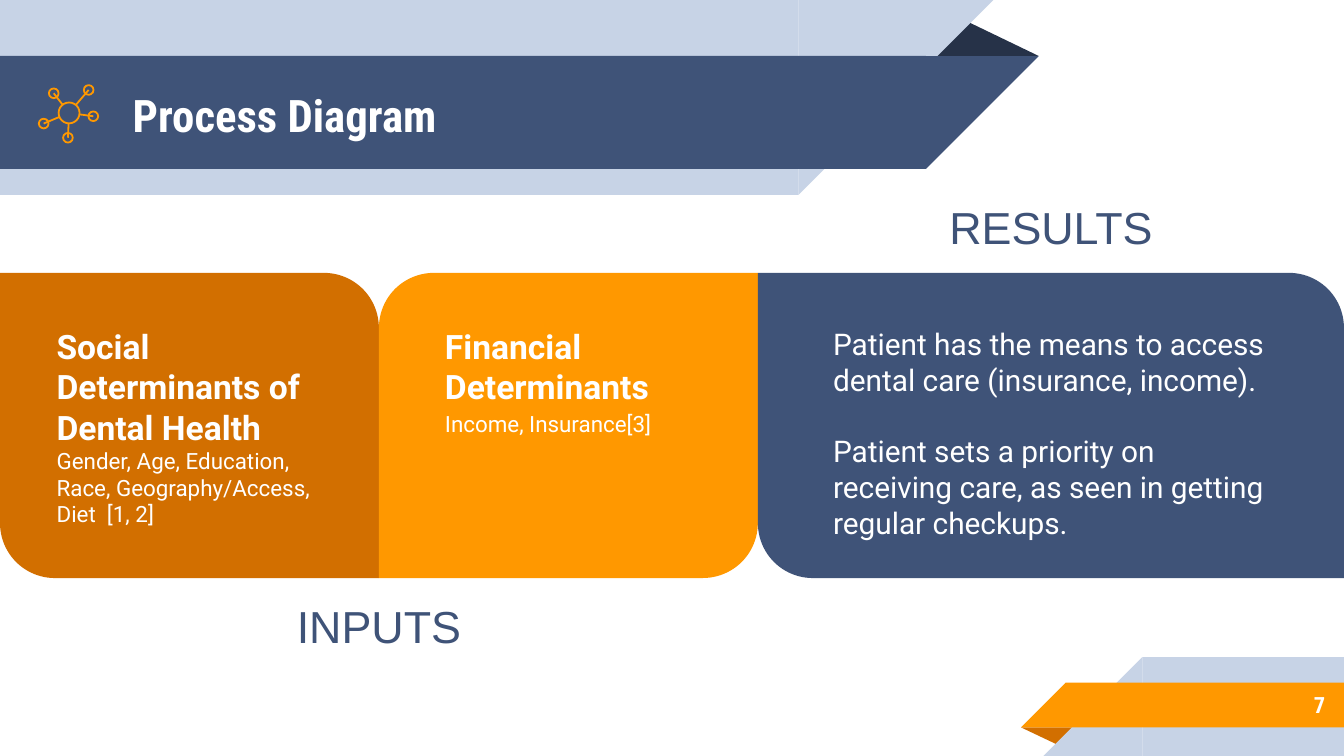
import math

from lxml import etree
from pptx import Presentation
from pptx.dml.color import RGBColor
from pptx.enum.shapes import MSO_CONNECTOR, MSO_SHAPE
from pptx.enum.text import MSO_ANCHOR, PP_ALIGN
from pptx.oxml.ns import qn
from pptx.util import Pt

RECTANGLE = MSO_SHAPE.RECTANGLE
TRIANGLE = MSO_SHAPE.ISOSCELES_TRIANGLE
RIGHT_TRIANGLE = MSO_SHAPE.RIGHT_TRIANGLE
DIAGONAL_ROUND = MSO_SHAPE.ROUND_2_DIAG_RECTANGLE
OVAL = MSO_SHAPE.OVAL
STRAIGHT = MSO_CONNECTOR.STRAIGHT
TOP, MIDDLE = MSO_ANCHOR.TOP, MSO_ANCHOR.MIDDLE
LEFT, CENTER, RIGHT = PP_ALIGN.LEFT, PP_ALIGN.CENTER, PP_ALIGN.RIGHT

NAVY, DARK_NAVY, PALE = "3F5378", "263248", "C7D3E6"
ORANGE, DARK_ORANGE, WHITE = "FF9800", "D26F00", "FFFFFF"
WIDTH, HEIGHT = 720, 405
ICON_LINE = 0.96


def color(value):
    return RGBColor.from_string(value)


def add_block(slide, kind, box, fill, rotation=0, flip=False, adjustments=()):
    shape = slide.shapes.add_shape(kind, *map(Pt, box))
    shape.shadow.inherit = False
    shape.fill.solid()
    shape.fill.fore_color.rgb = color(fill)
    shape.line.fill.background()
    shape.rotation = rotation
    if flip:
        shape._element.spPr.find(qn("a:xfrm")).set("flipH", "1")
    for index, value in enumerate(adjustments):
        shape.adjustments[index] = value
    return shape


def add_text(slide, box, paragraphs, font, text_color=WHITE, align=LEFT,
             anchor=MIDDLE, margin=7.2):
    """Each paragraph is (text, size, bold, line spacing, space before)."""
    frame = slide.shapes.add_textbox(*map(Pt, box)).text_frame
    frame.word_wrap = True
    frame.vertical_anchor = anchor
    frame.margin_left = frame.margin_right = Pt(margin)
    frame.margin_top = frame.margin_bottom = Pt(margin)
    frame.text = "\n".join(item[0] for item in paragraphs)
    for paragraph, item in zip(frame.paragraphs, paragraphs):
        _, size, bold, spacing, before = item
        paragraph.alignment = align
        paragraph.line_spacing = spacing
        paragraph.space_before = Pt(before)
        for run in paragraph.runs:
            run.font.name = font
            run.font.size = Pt(size)
            run.font.bold = bold
            run.font.color.rgb = color(text_color)


def add_header_ribbon(slide, left, top, width, height, fill):
    """Band whose right end slants inwards at 45 degrees."""
    body = width - height
    add_block(slide, RECTANGLE, (left, top, body, height), fill)
    add_block(slide, RIGHT_TRIANGLE, (left + body, top, height, height), fill,
              rotation=180, flip=True)


def add_footer_ribbon(slide, left, top, width, height, fill):
    """Band whose left end slants outwards at 45 degrees."""
    add_block(slide, RECTANGLE,
              (left + height, top, width - height, height), fill)
    add_block(slide, RIGHT_TRIANGLE, (left, top, height, height), fill,
              flip=True)


def add_circle(slide, x, y, radius):
    circle = add_block(slide, OVAL,
                       (x - radius, y - radius, 2 * radius, 2 * radius), NAVY)
    circle.fill.background()
    circle.line.color.rgb = color(ORANGE)
    circle.line.width = Pt(ICON_LINE)


def add_network_icon(slide, left, top):
    hub_x, hub_y, hub_radius = left + 16.1, top + 15.1, 5.6
    nodes = [(26.6, 2.8), (7.9, 4.6), (2.5, 20.8), (15.5, 28.4), (29.1, 16.9)]
    add_circle(slide, hub_x, hub_y, hub_radius)
    for node_x, node_y in nodes:
        x, y = left + node_x, top + node_y
        add_circle(slide, x, y, 2.6)
        # Spoke from the node centre to the rim of the hub
        reach = hub_radius / math.hypot(x - hub_x, y - hub_y)
        spoke = slide.shapes.add_connector(
            STRAIGHT, Pt(x), Pt(y),
            Pt(hub_x + (x - hub_x) * reach), Pt(hub_y + (y - hub_y) * reach))
        spoke.line.color.rgb = color(ORANGE)
        spoke.line.width = Pt(ICON_LINE)
        etree.SubElement(spoke._element.spPr, qn("a:effectLst"))


def add_header(slide, left, top, width, title):
    add_block(slide, TRIANGLE, (left + width - 61, top + 10, 61, 20),
              DARK_NAVY, adjustments=(0.32,))
    add_header_ribbon(slide, left, top, width - 24.4, 104.4, PALE)
    add_header_ribbon(slide, left, top + 30, width, 60.5, NAVY)
    add_text(slide, (left + 64, top + 31, 414, 60.5),
             [(title, 24, True, 1, 0)], "Roboto Condensed")
    add_network_icon(slide, left + 20.9, top + 45.4)


def add_footer(slide, left, top, width, height, number):
    add_block(slide, TRIANGLE, (left, top + 37.7, 31, 10), DARK_ORANGE,
              rotation=180, adjustments=(0.32,))
    add_footer_ribbon(slide, left + 12, top, width - 12, height, PALE)
    add_footer_ribbon(slide, left, top + 13.7, width, 24, ORANGE)
    add_text(slide, (left + width - 120, top + 13, 117, 25),
             [(number, 12, True, 1, 0)], "Roboto Condensed", align=RIGHT)


def add_card(slide, left, top, width, height, fill, corners, inset,
             paragraphs):
    add_block(slide, DIAGONAL_ROUND, (left, top, width, height), fill,
              adjustments=corners)
    add_text(slide, (left + inset, top + 19, width - 2 * inset, height - 37),
             paragraphs, "Roboto", anchor=TOP, margin=9.36)


def add_process(slide, left, top, width, height):
    input_width = 203
    result_left = left + 2 * input_width
    result_width = width - 2 * input_width
    rising, falling = (0, 0.18), (0.18, 0)
    cards = [
        (input_width, DARK_ORANGE, rising, 21, [
            ("Social Determinants of Dental Health", 18, True, 1, 0),
            ("Gender, Age, Education, Race, Geography/Access, Diet  [1, 2]",
             12, False, 1, 0)]),
        (input_width, ORANGE, falling, 26, [
            ("Financial Determinants", 18, True, 1, 0),
            ("Income, Insurance[3]", 12, False, 1.15, 0)]),
        (result_width, NAVY, rising, 31, [
            ("Patient has the means to access dental care "
             "(insurance, income).", 16, False, 1, 0),
            ("Patient sets a priority on receiving care, as seen in getting "
             "regular checkups.", 16, False, 1, 19)]),
    ]
    card_left = left
    for card_width, *details in cards:
        add_card(slide, card_left, top, card_width, height, *details)
        card_left += card_width

    # Labels below the inputs and above the results
    labels = [("INPUTS", left, top + height, 2 * input_width),
              ("RESULTS", result_left, top - 50.5, result_width)]
    for label, label_left, label_top, label_width in labels:
        add_text(slide, (label_left, label_top, label_width, 51),
                 [(label, 24, False, 1, 0)], "Arial", NAVY, CENTER)


def main():
    presentation = Presentation()
    presentation.slide_width = Pt(WIDTH)
    presentation.slide_height = Pt(HEIGHT)
    slide = presentation.slides.add_slide(presentation.slide_layouts[6])
    add_header(slide, 0, 0, 556.5, "Process Diagram")
    add_footer(slide, 547, 352, WIDTH - 547, HEIGHT - 352, "7")
    add_process(slide, 0, 146.2, WIDTH, 163.5)
    presentation.save("out.pptx")


if __name__ == "__main__":
    main()
